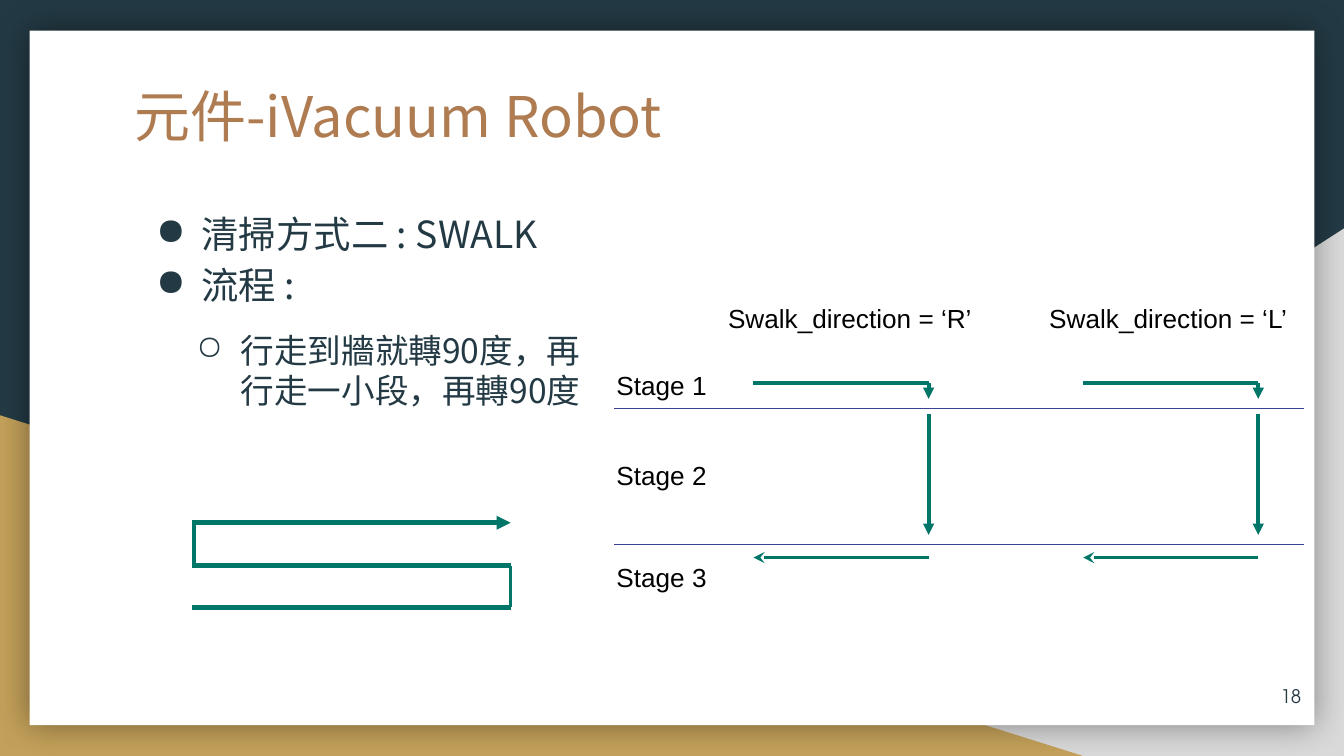
from dataclasses import dataclass

from lxml import etree
from pptx import Presentation
from pptx import util as u
from pptx.dml.color import RGBColor
from pptx.enum import shapes, text
from pptx.oxml import ns


@dataclass(frozen=True)
class Theme:
    """Colours, fonts and type sizes of the slide."""
    navy: str = "233A44"
    grey: str = "D9D9D9"
    gold: str = "C4A15A"
    white: str = "FFFFFF"
    black: str = "000000"
    copper: str = "AF7B51"
    green: str = "007669"
    indigo: str = "3A4293"
    cjk: str = "Noto Sans CJK SC"
    label: str = "Arial"
    number: str = "TeX Gyre Adventor"
    title_size: int = 30
    body_size: int = 20
    detail_size: int = 18
    label_size: int = 14
    number_size: int = 10


THEME = Theme()


def add_element(parent, tag, **attributes):
    """Append a DrawingML element to a parent and return it."""
    element = etree.SubElement(parent, ns.qn(tag))
    for name, value in attributes.items():
        element.set(name, str(value))
    return element


def add_panel(slide, preset, box, color, flip=False):
    """Add a filled background shape without an outline."""
    shape = slide.shapes.add_shape(preset, *map(u.Cm, box))
    shape.shadow.inherit = False
    shape.fill.solid()
    shape.fill.fore_color.rgb = RGBColor.from_string(color)
    shape.line.fill.background()
    if flip:
        shape.element.spPr.get_or_add_xfrm().set("flipH", "1")
    return shape


def add_glow_shadow(shape):
    """Give a shape a soft shadow on every side."""
    effects = shape.element.spPr.find(ns.qn("a:effectLst"))
    shadow = add_element(effects, "a:outerShdw", blurRad=u.Pt(18), dist=0, dir=0,
                         algn="ctr", rotWithShape=0)
    color = add_element(shadow, "a:srgbClr", val=THEME.black)
    add_element(color, "a:alpha", val=40000)


def add_text_frame(slide, box, inset=0.25):
    """Add a wrapping text box and return its frame."""
    frame = slide.shapes.add_textbox(*map(u.Cm, box)).text_frame
    frame.word_wrap = True
    frame.margin_left = frame.margin_right = u.Cm(0.25)
    frame.margin_top = frame.margin_bottom = u.Cm(inset)
    return frame


def add_run(paragraph, words, font, size, color):
    """Add one formatted run, with the same font for East Asian text."""
    run = paragraph.add_run()
    run.text = words
    run.font.name = font
    run.font.size = u.Pt(size)
    run.font.color.rgb = RGBColor.from_string(color)
    add_element(run.font._element, "a:ea", typeface=font)


def add_label(slide, words, left, top, width):
    """Add a one-line diagram label that grows with its text."""
    frame = add_text_frame(slide, (left, top, width, 0.86), inset=0.13)
    frame.word_wrap = False
    frame.auto_size = text.MSO_AUTO_SIZE.SHAPE_TO_FIT_TEXT
    add_run(frame.paragraphs[0], words, THEME.label, THEME.label_size, THEME.black)


def add_bullet(paragraph, symbol, margin, indent):
    """Set a coloured bullet and a hanging indent."""
    properties = paragraph._p.get_or_add_pPr()
    properties.set("marL", str(u.Cm(margin)))
    properties.set("indent", str(u.Cm(indent)))
    color = add_element(properties, "a:buClr")
    add_element(color, "a:srgbClr", val=THEME.navy)
    add_element(properties, "a:buChar", char=symbol)


def add_line(container, start, end, color=THEME.green, width=2.0, head=None, tail=None):
    """Add a straight line with optional arrowheads."""
    line = container.shapes.add_connector(
        shapes.MSO_CONNECTOR.STRAIGHT, *map(u.Cm, (*start, *end)))
    line.line.color.rgb = RGBColor.from_string(color)
    line.line.width = u.Pt(width)
    outline = line.line._get_or_add_ln()
    for tag, kind in (("a:headEnd", head), ("a:tailEnd", tail)):
        if kind:
            add_element(outline, tag, type=kind)
    add_element(line.element.spPr, "a:effectLst")


def add_background(slide):
    """Add the coloured corners and the white panel."""
    slide.background.fill.solid()
    slide.background.fill.fore_color.rgb = RGBColor.from_string(THEME.navy)
    triangle = shapes.MSO_SHAPE.RIGHT_TRIANGLE
    add_panel(slide, triangle, (9.96, 4.32, 15.44, 9.97), THEME.grey, flip=True)
    add_panel(slide, triangle, (0, 7.85, 20.47, 6.44), THEME.gold)
    panel = add_panel(slide, shapes.MSO_SHAPE.RECTANGLE,
                      (0.56, 0.58, 24.28, 13.13), THEME.white)
    add_glow_shadow(panel)


def add_title_and_number(slide):
    """Add the slide title and the slide number."""
    title = add_text_frame(slide, (2.29, 1.3, 20.85, 2.64))
    add_run(title.paragraphs[0], "元件-iVacuum Robot", THEME.cjk,
            THEME.title_size, THEME.copper)
    number = add_text_frame(slide, (23.32, 12.62, 1.52, 1.09))
    number.vertical_anchor = text.MSO_ANCHOR.MIDDLE
    number.paragraphs[0].alignment = text.PP_ALIGN.RIGHT
    add_run(number.paragraphs[0], "18", THEME.number, THEME.number_size, THEME.navy)


def add_body(slide):
    """Add the bulleted description of the cleaning method."""
    frame = add_text_frame(slide, (2.29, 3.61, 9.37, 8.71))
    for index, words in enumerate(("清掃方式二 : SWALK", "流程 :")):
        paragraph = frame.add_paragraph() if index else frame.paragraphs[0]
        add_bullet(paragraph, "●", 1.27, -0.86)
        paragraph.line_spacing = 1.15
        add_run(paragraph, words, THEME.cjk, THEME.body_size, THEME.navy)
    detail = frame.add_paragraph()
    detail.level = 1
    add_bullet(detail, "○", 2.01, -0.84)
    detail.space_before = u.Pt(12)
    add_run(detail, "行走到牆就轉90度，再行走一小段，再轉90度", THEME.cjk,
            THEME.detail_size, THEME.navy)


def add_walk_path(slide):
    """Add the S-shaped walking path."""
    group = slide.shapes.add_group_shape()
    left, right = 3.63, 9.65
    bottom, middle, top = 11.48, 10.69, 9.88
    for height, tail in ((bottom, None), (middle, None), (top, "triangle")):
        add_line(group, (left, height), (right, height), width=2.5, tail=tail)
    add_line(group, (right, bottom), (right, middle))
    add_line(group, (left + 0.03, middle), (left + 0.03, top))


def add_turn(slide, left):
    """Add the arrows of one turn through the three stages."""
    group = slide.shapes.add_group_shape()
    right = left + 3.31
    add_line(group, (left, 7.24), (right, 7.24))
    add_line(group, (left, 10.54), (right, 10.54), head="stealth")
    add_line(group, (right, 7.24), (right, 7.54), tail="triangle")
    add_line(group, (right, 7.82), (right, 10.11), tail="triangle")


def add_stages(slide):
    """Add the stage diagram for both walking directions."""
    add_label(slide, "Swalk_direction = ‘R’", 13.51, 5.58, 5.16)
    add_label(slide, "Swalk_direction = ‘L’", 19.58, 5.58, 5.05)
    for left in (14.24, 20.47):
        add_turn(slide, left)
    for height in (7.72, 10.29):
        add_line(slide, (11.61, height), (24.64, height), THEME.indigo, 0.75)
    for stage, top in enumerate((6.86, 8.56, 10.49), start=1):
        add_label(slide, f"Stage {stage}", 11.4, top, 2.24)


def main():
    """Build and save the slide."""
    presentation = Presentation()
    presentation.slide_width = u.Cm(25.4)
    presentation.slide_height = u.Cm(14.29)
    slide = presentation.slides.add_slide(presentation.slide_layouts[6])
    add_background(slide)
    add_title_and_number(slide)
    add_walk_path(slide)
    add_body(slide)
    add_stages(slide)
    presentation.save("out.pptx")


if __name__ == "__main__":
    main()
